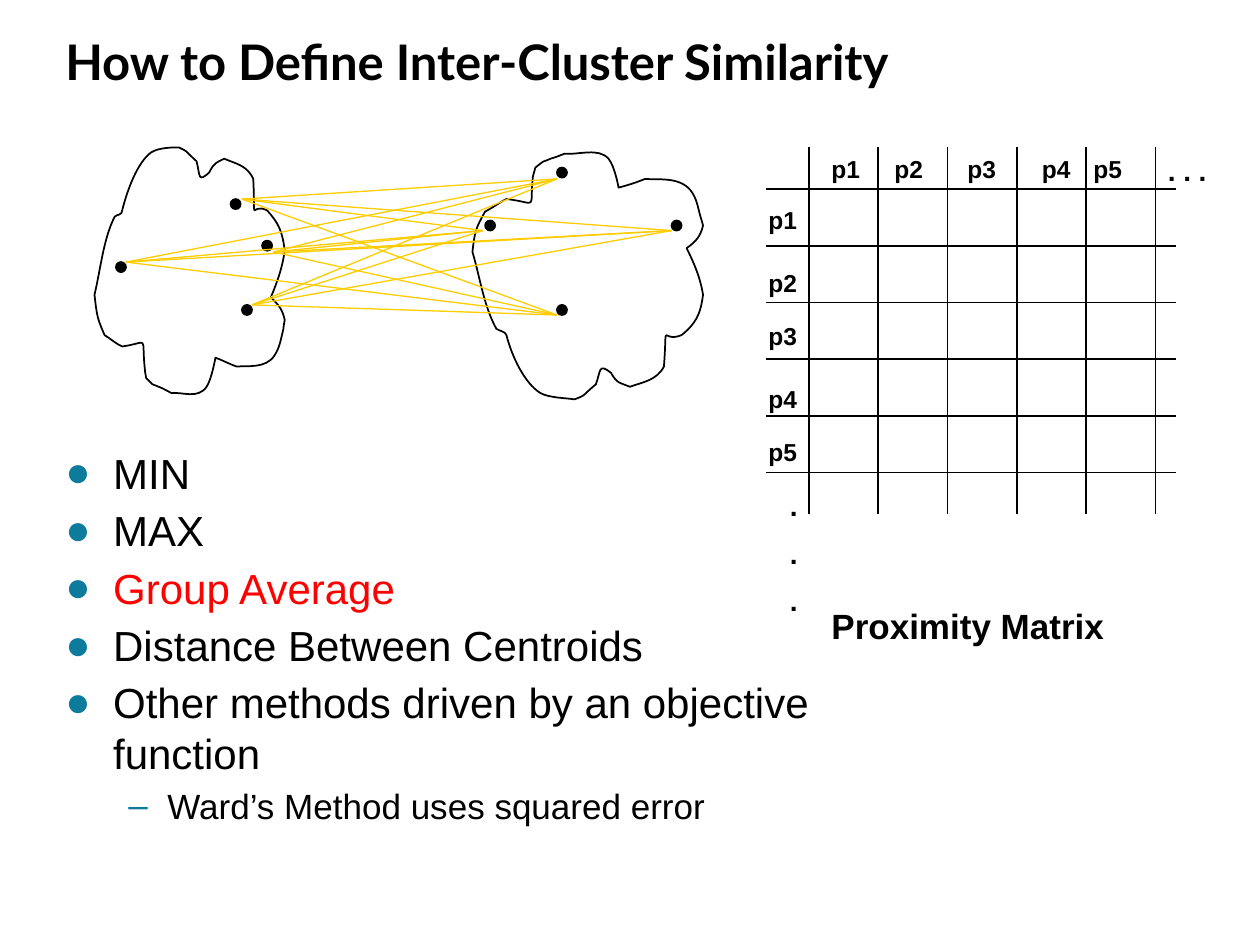
from dataclasses import dataclass
from itertools import product

from lxml import etree
from pptx import Presentation
from pptx.dml.color import RGBColor
from pptx.enum.shapes import MSO_CONNECTOR, MSO_SHAPE
from pptx.enum.text import MSO_ANCHOR, MSO_AUTO_SIZE
from pptx.oxml.ns import qn
from pptx.util import Inches, Pt

STRAIGHT = MSO_CONNECTOR.STRAIGHT
ELLIPSE = MSO_SHAPE.OVAL
BOTTOM = MSO_ANCHOR.BOTTOM
GROW = MSO_AUTO_SIZE.SHAPE_TO_FIT_TEXT

BLACK, RED, TEAL, GOLD = "000000", "FF0000", "0C7B9C", "FFCC00"
Point = tuple[float, float]


@dataclass
class Bullet:
    text: str
    color: str = BLACK
    level: int = 0


@dataclass
class BulletStyle:
    mark: str
    size: float
    margin: float
    hanging: float


@dataclass
class Cluster:
    outline: list[Point]  # start point, then three points per curve
    dots: list[Point]  # top left corners
    link_ends: list[Point]


def rgb(color: str) -> RGBColor:
    return RGBColor.from_string(color)


def add_line(shapes, start: Point, end: Point, color: str = BLACK, width: float = 1):
    line = shapes.add_connector(STRAIGHT, *map(Inches, start + end))
    line.line.color.rgb = rgb(color)
    line.line.width = Pt(width)
    etree.SubElement(line.element.spPr, qn("a:effectLst"))


def set_font(para, size: float, color: str = BLACK, bold: bool = False, name: str = "Arial"):
    para.font.name = name
    para.font.size = Pt(size)
    para.font.bold = bold
    para.font.color.rgb = rgb(color)


def add_frame(shapes, left: float, top: float, width: float, height: float):
    box = shapes.add_textbox(Inches(left), Inches(top), Inches(width), Inches(height))
    box.text_frame.word_wrap = True
    return box.text_frame


def add_label(shapes, lines: list[str], left: float, top: float,
              width: float = 0.58, height: float = 0.33, size: float = 14):
    frame = add_frame(shapes, left, top, width, height)
    frame.auto_size = GROW
    frame.text = "\n".join(lines)
    for index, para in enumerate(frame.paragraphs):
        if index:
            para.space_before = Pt(8)
        set_font(para, size, bold=True)


def add_outline(shapes, points: list[Point]):
    corners = [(Inches(x), Inches(y)) for x, y in points]
    builder = shapes.build_freeform(*corners[0])
    builder.add_line_segments(corners[1:], close=True)
    shape = builder.convert_to_shape()
    shape.shadow.inherit = False
    shape.fill.background()
    shape.line.color.rgb = rgb(BLACK)
    shape.line.width = Pt(1)
    # Turn every three straight segments into one Bezier curve
    segments = list(shape.element.iter(qn("a:lnTo")))
    for first in range(0, len(segments), 3):
        curve = etree.Element(qn("a:cubicBezTo"))
        segments[first].addprevious(curve)
        for segment in segments[first:first + 3]:
            curve.append(segment[0])
            segment.getparent().remove(segment)


def add_dot(shapes, corner: Point):
    dot = shapes.add_shape(ELLIPSE, *map(Inches, corner + (0.08, 0.08)))
    dot.shadow.inherit = False
    dot.fill.solid()
    dot.fill.fore_color.rgb = rgb(BLACK)
    dot.line.color.rgb = rgb(BLACK)
    dot.line.width = Pt(1)


def add_bullet(para, bullet: Bullet, style: BulletStyle):
    para.text = bullet.text
    para.level = bullet.level
    properties = para._p.get_or_add_pPr()
    properties.set("marL", str(Inches(style.margin)))
    properties.set("indent", str(-Inches(style.hanging)))
    color = etree.SubElement(properties, qn("a:buClr"))
    etree.SubElement(color, qn("a:srgbClr"), val=TEAL)
    etree.SubElement(properties, qn("a:buFont"), typeface="Arial")
    etree.SubElement(properties, qn("a:buChar"), char=style.mark)
    set_font(para, style.size, bullet.color)


LEFT_CLUSTER = Cluster(
    outline=[
        (0.91, 1.72), (0.82, 1.9), (0.8, 2.13), (0.75, 2.34), (0.77, 2.51), (0.77, 2.52), (0.83, 2.66),
        (0.88, 2.69), (0.92, 2.73), (0.97, 2.75), (1.19, 2.72), (1.12, 2.65), (1.15, 2.93),
        (1.15, 2.96), (1.16, 2.98), (1.16, 3), (1.23, 3.07), (1.19, 3.04), (1.26, 3.07),
        (1.29, 3.08), (1.36, 3.12), (1.36, 3.12), (1.45, 3.11), (1.57, 3.17), (1.64, 3.07),
        (1.68, 3.01), (1.71, 2.84), (1.71, 2.84), (1.77, 2.86), (1.82, 2.89), (1.88, 2.91),
        (1.96, 2.9), (2.11, 2.93), (2.18, 2.82), (2.22, 2.76), (2.23, 2.69), (2.25, 2.61),
        (2.25, 2.59), (2.26, 2.54), (2.26, 2.54), (2.24, 2.45), (2.21, 2.42), (2.15, 2.36),
        (2.2, 2.24), (2.24, 2.13), (2.26, 1.99), (2.24, 1.83), (2.21, 1.77), (2.12, 1.67),
        (1.98, 1.6), (2.03, 1.82), (2.01, 1.42), (1.96, 1.31), (1.87, 1.3), (1.78, 1.26),
        (1.72, 1.29), (1.7, 1.29), (1.66, 1.37), (1.57, 1.45), (1.59, 1.4), (1.56, 1.28),
        (1.45, 1.18), (1.5, 1.21), (1.42, 1.17), (1.38, 1.17), (1.26, 1.17), (1.2, 1.21),
        (1.09, 1.29), (1.01, 1.51), (0.97, 1.67), (0.97, 1.71), (0.93, 1.7), (0.91, 1.72),
    ],
    dots=[(1.92, 2.42), (1.83, 1.58), (0.92, 2.08), (2.08, 1.91)],
    link_ends=[(2, 2.42), (2.17, 2), (1, 2.08), (1.92, 1.58)],
)
RIGHT_CLUSTER = Cluster(
    outline=[
        (3.94, 2.61), (3.84, 2.43), (3.81, 2.2), (3.75, 2), (3.77, 1.82), (3.78, 1.81), (3.85, 1.68),
        (3.91, 1.65), (3.96, 1.61), (4.02, 1.58), (4.28, 1.61), (4.2, 1.68), (4.23, 1.4),
        (4.24, 1.38), (4.24, 1.35), (4.25, 1.33), (4.34, 1.26), (4.28, 1.3), (4.37, 1.26),
        (4.41, 1.25), (4.48, 1.22), (4.48, 1.22), (4.6, 1.23), (4.75, 1.17), (4.83, 1.26),
        (4.88, 1.32), (4.91, 1.49), (4.91, 1.49), (4.98, 1.47), (5.05, 1.45), (5.12, 1.42),
        (5.22, 1.43), (5.39, 1.4), (5.48, 1.51), (5.53, 1.57), (5.54, 1.65), (5.56, 1.72),
        (5.57, 1.75), (5.58, 1.79), (5.58, 1.79), (5.56, 1.88), (5.52, 1.92), (5.45, 1.97),
        (5.51, 2.09), (5.56, 2.21), (5.58, 2.34), (5.56, 2.5), (5.52, 2.57), (5.41, 2.66),
        (5.24, 2.73), (5.3, 2.51), (5.27, 2.91), (5.21, 3.02), (5.11, 3.03), (5, 3.07),
        (4.93, 3.04), (4.9, 3.05), (4.85, 2.96), (4.75, 2.88), (4.77, 2.94), (4.73, 3.05),
        (4.6, 3.16), (4.66, 3.13), (4.56, 3.17), (4.51, 3.16), (4.36, 3.16), (4.29, 3.12),
        (4.16, 3.04), (4.06, 2.82), (4.02, 2.66), (4.01, 2.63), (3.97, 2.63), (3.94, 2.61),
    ],
    dots=[(5.33, 1.75), (3.85, 1.75), (4.42, 2.42), (4.42, 1.33)],
    link_ends=[(4.42, 2.5), (3.83, 1.83), (4.42, 1.42), (5.33, 1.83)],
)
BULLETS = [
    Bullet("MIN"),
    Bullet("MAX"),
    Bullet("Group Average", RED),
    Bullet("Distance Between Centroids"),
    Bullet("Other methods driven by an objective function"),
    Bullet("Ward’s Method uses squared error", level=1),
]
BULLET_STYLES = [BulletStyle("●", 24, 0.38, 0.38), BulletStyle("–", 20, 0.81, 0.31)]
COLUMN_LABEL_LEFTS = [6.5, 7, 7.58, 8.17, 8.58]
ROW_LABEL_TOPS = [1.58, 2.08, 2.5, 3, 3.42]

deck = Presentation()
deck.slide_width, deck.slide_height = Inches(10), Inches(7.5)
page = deck.slides.add_slide(deck.slide_layouts[6])

# Title
title = add_frame(page.shapes, 0.42, 0.17, 9.06, 0.6)
title.vertical_anchor = BOTTOM
title.text = "How to Define Inter-Cluster Similarity"
title.paragraphs[0].line_spacing = 1.29
set_font(title.paragraphs[0], 28, bold=True, name="Lato")

# Proximity matrix: six rules each way, then the labels
matrix = page.shapes.add_group_shape().shapes
for index in range(6):
    x, y = 6.42 + 0.55 * index, 1.5 + 0.45 * index
    add_line(matrix, (x, 1.17), (x, 4.08))
    add_line(matrix, (6.08, y), (9.33, y))
for number, (left, top) in enumerate(zip(COLUMN_LABEL_LEFTS, ROW_LABEL_TOPS), start=1):
    add_label(matrix, [f"p{number}"], left, 1.17)
    add_label(matrix, [f"p{number}"], 6, top)
add_label(matrix, [". . ."], 9.17, 1.17, height=0.37, size=16)
add_label(matrix, ["."] * 3, 6.17, 3.83, height=1.17, size=16)
add_label(page.shapes, ["Proximity Matrix"], 6.5, 4.75, 2.75, 0.43, 20)

# Clusters and the links between all their points
for cluster in (LEFT_CLUSTER, RIGHT_CLUSTER):
    add_outline(page.shapes, cluster.outline)
    for corner in cluster.dots:
        add_dot(page.shapes, corner)
for start, end in product(LEFT_CLUSTER.link_ends, RIGHT_CLUSTER.link_ends):
    add_line(page.shapes, start, end, GOLD, 0.75)

# Similarity measures
measures = add_frame(page.shapes, 0.42, 3.5, 6.33, 3.42)
for index, bullet in enumerate(BULLETS):
    para = measures.add_paragraph() if index else measures.paragraphs[0]
    if index:
        para.space_before = Pt(4)
    add_bullet(para, bullet, BULLET_STYLES[bullet.level])

deck.save("out.pptx")
